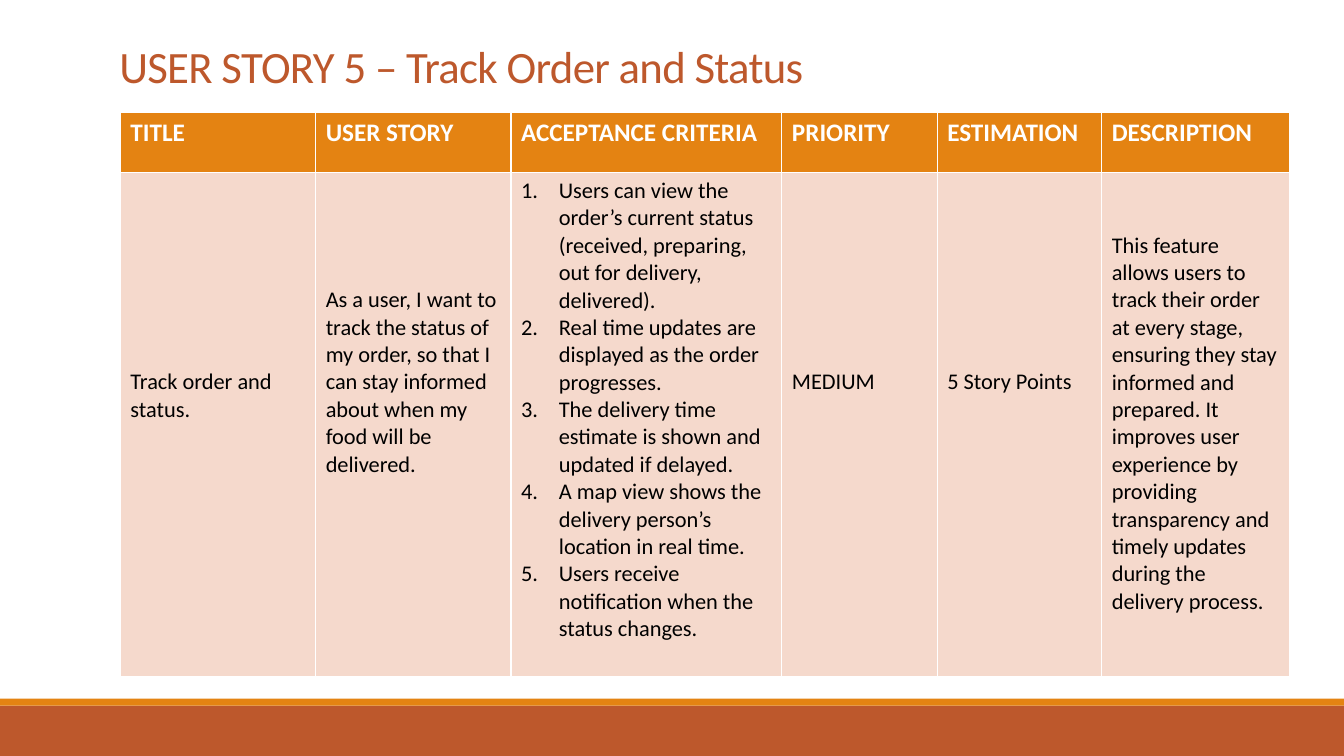
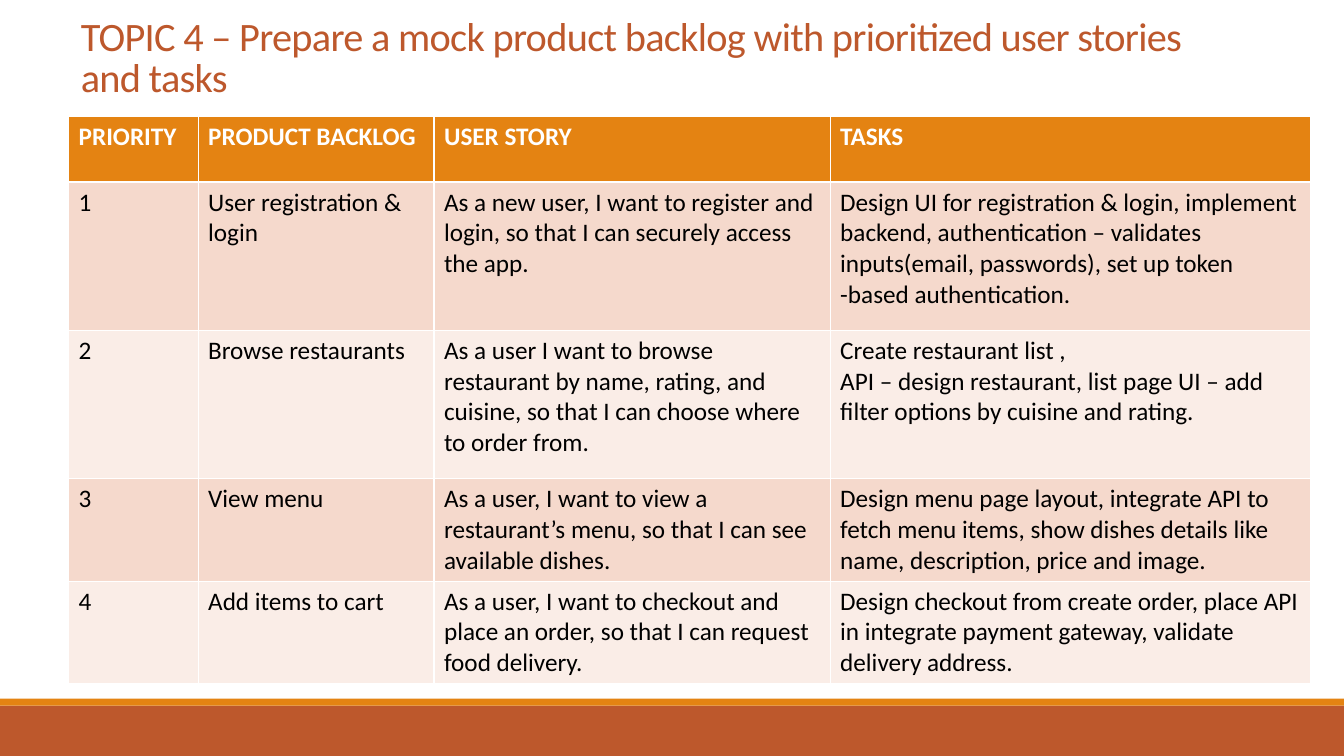
from lxml import etree
from pptx import Presentation
from pptx.dml.color import RGBColor
from pptx.enum.shapes import MSO_SHAPE
from pptx.enum.text import MSO_ANCHOR, MSO_AUTO_SIZE, PP_ALIGN
from pptx.oxml.ns import qn
from pptx.util import Pt

RECTANGLE = MSO_SHAPE.RECTANGLE
BOTTOM = MSO_ANCHOR.BOTTOM
NO_AUTOFIT = MSO_AUTO_SIZE.NONE
LEFT = PP_ALIGN.LEFT

RUST = RGBColor(0xBD, 0x58, 0x2C)
ORANGE = RGBColor(0xE4, 0x83, 0x12)
PEACH = RGBColor(0xF5, 0xD9, 0xCC)
PALE_PEACH = RGBColor(0xFA, 0xED, 0xE7)
WHITE = RGBColor(0xFF, 0xFF, 0xFF)
BLACK = RGBColor(0, 0, 0)

FONT = "Calibri"
SLIDE_WIDTH, SLIDE_HEIGHT = 960, 540
HEADER_SIZE = 18
LINE_FACTOR = 1.22
CELL_MARGIN = 3.6
NUMBER_INDENT = 27

STORY_HEADERS = ["TITLE", "USER STORY", "ACCEPTANCE CRITERIA",
                 "PRIORITY", "ESTIMATION", "DESCRIPTION"]
STORY = [
    "Track order and status.",
    "As a user, I want to track the status of my order, so that I can stay "
    "informed about when my food will be delivered.",
    "Users can view the order’s current status (received, preparing, out for "
    "delivery, delivered).\n"
    "Real time updates are displayed as the order progresses.\n"
    "The delivery time estimate is shown and updated if delayed.\n"
    "A map view shows the delivery person’s location in real time.\n"
    "Users receive notification when the status changes.",
    "MEDIUM",
    "5 Story Points",
    "This feature allows users to track their order at every stage, ensuring "
    "they stay informed and prepared. It improves user experience by providing "
    "transparency and timely updates during the delivery process.",
]
STORY_LINES_ABOVE = [7, 4, 0, 7, 7, 2]
CRITERIA_COLUMN = STORY_HEADERS.index("ACCEPTANCE CRITERIA")

BACKLOG_HEADERS = ["PRIORITY", "PRODUCT BACKLOG", "USER STORY", "TASKS"]
BACKLOG = [
    ["1", "User registration & login",
     "As a new user, I want to register and login, so that I can securely "
     "access the app.",
     "Design UI for registration & login, implement backend, authentication – "
     "validates inputs(email, passwords), set up token -based authentication."],
    ["2", "Browse restaurants",
     "As a user I want to browse restaurant by name, rating, and cuisine, so "
     "that I can choose where to order from.",
     "Create restaurant list ,\n"
     "API – design restaurant, list page UI – add filter options by cuisine "
     "and rating."],
    ["3", "View menu",
     "As a user, I want to view a restaurant’s menu, so that I can see "
     "available dishes.",
     "Design menu page layout, integrate API to fetch menu items, show dishes "
     "details like name, description, price and image."],
    ["4", "Add items to cart",
     "As a user, I want to checkout and place an order, so that I can request "
     "food delivery.",
     "Design checkout from create order, place API in integrate payment "
     "gateway, validate delivery address."],
]


def style_font(paragraph, size, color, bold=False):
    font = paragraph.font
    font.name = FONT
    font.size = Pt(size)
    font.bold = bold
    font.color.rgb = color


def add_layout_band(slide, top, height, color):
    band = slide.shapes.add_shape(RECTANGLE, 0, Pt(top), Pt(SLIDE_WIDTH), Pt(height))
    band.shadow.inherit = False
    band.fill.solid()
    band.fill.fore_color.rgb = color
    band.line.fill.background()
    slide.slide_layout.shapes.element.append(band.element)


def set_title(slide, text, box, size):
    title = slide.shapes.title
    title.left, title.top, title.width, title.height = map(Pt, box)
    frame = title.text_frame
    frame.text = text
    frame.word_wrap = True
    frame.auto_size = NO_AUTOFIT
    frame.vertical_anchor = BOTTOM
    paragraph = frame.paragraphs[0]
    paragraph.alignment = LEFT
    paragraph.line_spacing = 0.85
    style_font(paragraph, size, RUST)
    paragraph.runs[0]._r.get_or_add_rPr().set("spc", "-50")


def fill_cell(cell, text, size, color, fill, bold=False):
    cell.text = text
    cell.fill.solid()
    cell.fill.fore_color.rgb = fill
    for paragraph in cell.text_frame.paragraphs:
        style_font(paragraph, size, color, bold)


def add_table(slide, left, top, widths, heights, headers, rows, size):
    frame = slide.shapes.add_table(len(heights), len(widths), Pt(left), Pt(top),
                                   Pt(sum(widths)), Pt(sum(heights)))
    table = frame.table
    for column, width in zip(table.columns, widths):
        column.width = Pt(width)
    for row, height in zip(table.rows, heights):
        row.height = Pt(height)
    for cell, text in zip(table.rows[0].cells, headers):
        fill_cell(cell, text, HEADER_SIZE, WHITE, ORANGE, bold=True)
    for index, texts in enumerate(rows):
        fill = PALE_PEACH if index % 2 else PEACH
        for cell, text in zip(table.rows[index + 1].cells, texts):
            fill_cell(cell, text, size, BLACK, fill)
    return table


def number_paragraphs(cell):
    for paragraph in cell.text_frame.paragraphs:
        properties = paragraph._p.get_or_add_pPr()
        properties.set("marL", str(Pt(NUMBER_INDENT)))
        properties.set("indent", str(-Pt(NUMBER_INDENT)))
        numbering = etree.Element(qn("a:buAutoNum"), type="arabicPeriod")
        properties.insert(0, numbering)


def build_story_slide(slide):
    set_title(slide, "USER STORY 5 – Track Order and Status", (78, 22.5, 800, 47.5), 32)
    size = 16
    table = add_table(slide, 86, 80, [139.5, 139.5, 193.5, 111, 117.5, 134.5],
                      [43, 360], STORY_HEADERS, [STORY], size)
    story_cells = table.rows[1].cells
    for cell, lines in zip(story_cells, STORY_LINES_ABOVE):
        cell.margin_top = Pt(round(CELL_MARGIN + lines * size * LINE_FACTOR, 2))
    number_paragraphs(table.cell(1, CRITERIA_COLUMN))


def build_backlog_slide(slide):
    set_title(slide, "TOPIC 4 – Prepare a mock product backlog with prioritized "
              "user stories and tasks", (50.5, 19.5, 828, 56), 28.8)
    add_table(slide, 49, 83, [92.5, 168.5, 283, 343], [47, 106, 106, 73, 73],
              BACKLOG_HEADERS, BACKLOG, 18)


def main():
    presentation = Presentation()
    presentation.slide_width = Pt(SLIDE_WIDTH)
    presentation.slide_height = Pt(SLIDE_HEIGHT)
    layout = presentation.slide_layouts.get_by_name("Title Only")
    story_slide, backlog_slide = [presentation.slides.add_slide(layout) for _ in range(2)]
    add_layout_band(story_slide, 504, 36, RUST)
    add_layout_band(story_slide, 499, 5, ORANGE)
    build_story_slide(story_slide)
    build_backlog_slide(backlog_slide)
    presentation.save("out.pptx")


if __name__ == "__main__":
    main()
